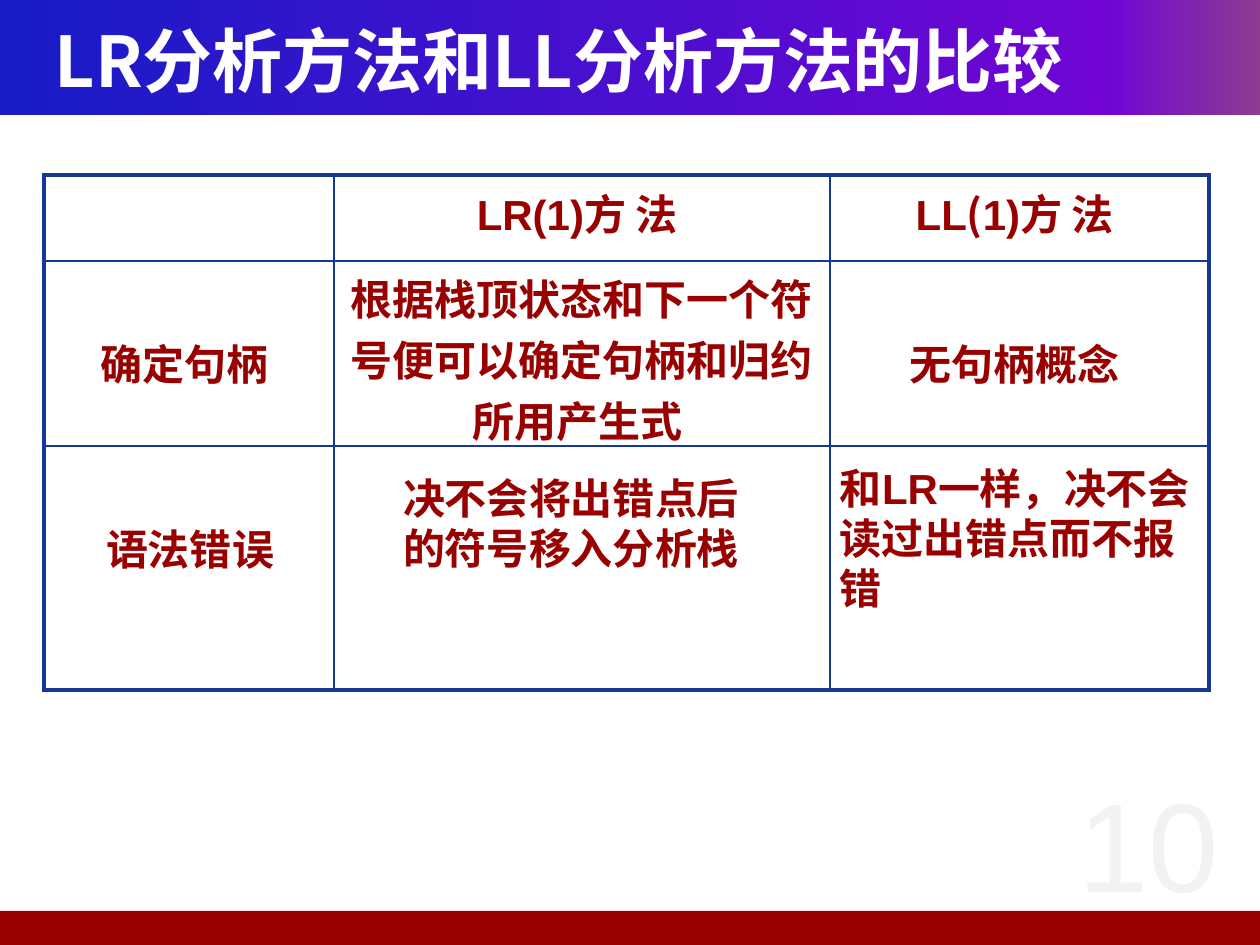
from lxml.etree import SubElement
from pptx import Presentation
from pptx.dml.color import RGBColor
from pptx.enum.shapes import MSO_SHAPE as Shape
from pptx.enum.text import MSO_ANCHOR as Anchor, MSO_AUTO_SIZE as AutoSize, PP_ALIGN as Align
from pptx.oxml.ns import qn
from pptx.util import Pt

SCALE = 914400 // 126
LATIN, CHINESE = "Arial", "Noto Sans CJK SC"
RED, BLUE = "990000", "163794"


def px(*lengths):
    return [round(length * SCALE) for length in lengths]


def style(font, size, color, name, bold=True):
    font.size, font.bold, font.name = Pt(size), bold, name
    font.color.rgb = RGBColor.from_string(color)


deck = Presentation()
deck.slide_width, deck.slide_height = px(1260, 945)
page = deck.slides.add_slide(deck.slide_layouts[5])
title = page.shapes.title

bands = []
for place in [(0, 0, 1260, 115), (-5, 911, 1265, 34)]:
    band = page.shapes.add_shape(Shape.RECTANGLE, *px(*place))
    band.shadow.inherit = False
    band.line.fill.background()
    title._element.addprevious(band._element)
    bands.append(band)
header, footer = bands
footer.fill.solid()
footer.fill.fore_color.rgb = RGBColor.from_string(RED)
header.fill.gradient()
header.fill.gradient_angle = 0
stops = header._element.spPr.find(qn("a:gradFill")).find(qn("a:gsLst"))
for stop in list(stops):
    stops.remove(stop)
for percent, color in [(0, "181CC7"), (88, "7005D4"), (100, "8C3D91")]:
    stop = SubElement(stops, qn("a:gs"), pos=str(percent * 1000))
    SubElement(stop, qn("a:srgbClr"), val=color)

title.left, title.top, title.width, title.height = px(42, 21, 1166, 78)
title.text_frame.text = "LR分析方法和LL分析方法的比较"
title.text_frame.vertical_anchor = Anchor.MIDDLE
title.text_frame.auto_size = AutoSize.NONE
title.text_frame.paragraphs[0].alignment = Align.LEFT
style(title.text_frame.paragraphs[0].font, 40, "FFFFFF", CHINESE)

number = page.shapes.add_textbox(*px(1037, 760, 223, 179))
number.text_frame.word_wrap = True
para = number.text_frame.paragraphs[0]
para.text, para.alignment = "10", Align.CENTER
style(para.font, 72, "F2F2F2", LATIN, False)

columns, rows = (290, 496, 379), (86, 185, 244)
frame = page.shapes.add_table(3, 3, *px(44, 175, sum(columns), sum(rows)))
table = frame.table
table.first_row = table.horz_banding = False
for column, width in zip(table.columns, px(*columns)):
    column.width = width
for row, height in zip(table.rows, px(*rows)):
    row.height = height

texts = {
    (0, 1): [("LR(1)", LATIN), ("方 法 ", CHINESE)],
    (0, 2): [("LL", LATIN), ("(", CHINESE), ("1)", LATIN), ("方 法 ", CHINESE)],
    (1, 0): [("确定句柄 ", CHINESE)],
    (1, 1): [("根据栈顶状态和下一个符号便可以确定句柄和归约所用产生式 ", CHINESE)],
    (1, 2): [("无句柄概念 ", CHINESE)],
}
for r in range(3):
    for c in range(3):
        cell = table.cell(r, c)
        cell.fill.background()
        if r == 1:
            cell.vertical_anchor = Anchor.MIDDLE
            if c != 1:
                cell.margin_top = px(24)[0]
        para = cell.text_frame.paragraphs[0]
        para.alignment = Align.CENTER
        for text, name in texts.get((r, c), []):
            span = para.add_run()
            span.text = text
            style(span.font, 24, RED, name)
            if name == CHINESE:
                SubElement(span.font._element, qn("a:ea"), typeface=CHINESE)
        outer = {"lnL": c == 0, "lnR": c == 2, "lnT": r == 0, "lnB": r == 2}
        properties = cell._tc.get_or_add_tcPr()
        for position, (side, thick) in enumerate(outer.items()):
            border = SubElement(properties, qn("a:" + side), w=str(Pt(2.25 if thick else 1)))
            fill = SubElement(border, qn("a:solidFill"))
            SubElement(fill, qn("a:srgbClr"), val=BLUE)
            properties.insert(position, border)

notes = [
    ((106, 517, 168, 63), "语法错误", False),
    ((403, 466, 358, 113), "决不会将出错点后的符号移入分析栈", True),
    ((840, 456, 358, 164), "和LR一样，决不会读过出错点而不报错 ", True),
]
for place, text, wrap in notes:
    box = page.shapes.add_textbox(*px(*place))
    box.text_frame.word_wrap = wrap
    box.text_frame.auto_size = AutoSize.SHAPE_TO_FIT_TEXT
    box.text_frame.margin_left = box.text_frame.margin_right = 0
    para = box.text_frame.paragraphs[0]
    para.text = text
    style(para.font, 24, RED, LATIN)

deck.save("out.pptx")
